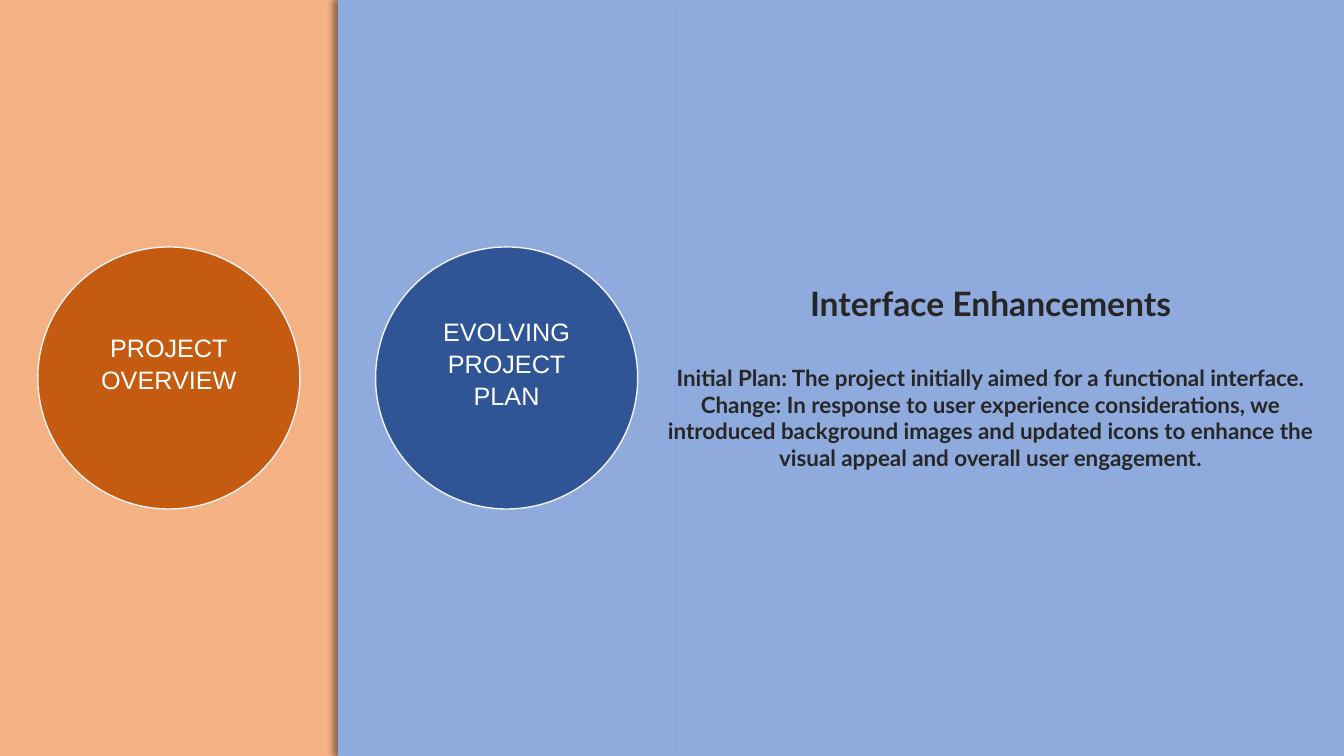
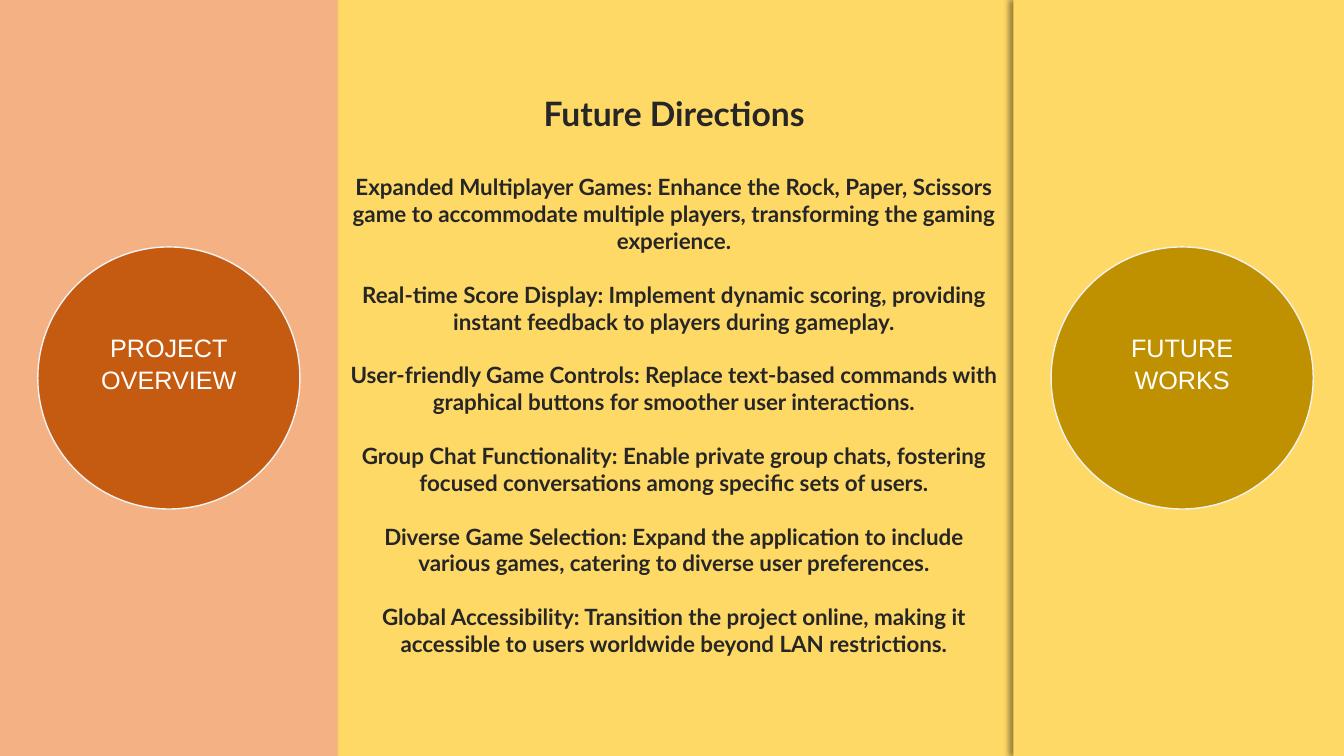
from dataclasses import dataclass

from lxml import etree
from pptx import Presentation
from pptx import util as u
from pptx.dml.color import RGBColor
from pptx.enum import shapes, text
from pptx.oxml.ns import qn


@dataclass(frozen=True)
class Theme:
    ink: str = "262626"
    label: str = "FFFFFF"
    ring: str = "F2F2F2"
    shadow: str = "000000"
    heading_font: str = "Lato"
    label_font: str = "Arial"
    heading_size: int = 24
    body_size: int = 16
    label_size: int = 18


THEME = Theme()
WIDTH, HEIGHT = 13.33, 7.5
COLUMN = 3.35
CIRCLE = 2.6
HEADING_DROP = 0.8  # from the heading's top to the body's top

# Each panel: column, band colour, circle colour, label lines
OVERVIEW = (0, "F4B183", "C55A11", ("PROJECT", "OVERVIEW"))
PLAN = (1, "8FAADC", "2F5597", ("EVOLVING", "PROJECT", "PLAN"))
FUTURE = (3, "FFD966", "BF9000", ("FUTURE", "WORKS"))

SLIDES = [
    {
        "background": "8FAADC",
        "panels": (OVERVIEW, PLAN),
        "area": (6.32, 2.76, 7.01, 1.99),
        "gap": 0,
        "heading": "Interface Enhancements",
        "body": (
            "Initial Plan: The project initially aimed for a functional interface.",
            "Change: In response to user experience considerations, we introduced "
            "background images and updated icons to enhance the visual appeal and "
            "overall user engagement.",
        ),
    },
    {
        "background": "FFD966",
        "panels": (FUTURE, OVERVIEW),
        "area": (3.34, 0.87, 6.69, 5.76),
        "gap": 19.2,
        "heading": "Future Directions",
        "body": (
            "Expanded Multiplayer Games: Enhance the Rock, Paper, Scissors game to "
            "accommodate multiple players, transforming the gaming experience.",
            "Real-time Score Display: Implement dynamic scoring, providing instant "
            "feedback to players during gameplay.",
            "User-friendly Game Controls: Replace text-based commands with graphical "
            "buttons for smoother user interactions.",
            "Group Chat Functionality: Enable private group chats, fostering focused "
            "conversations among specific sets of users.",
            "Diverse Game Selection: Expand the application to include various games, "
            "catering to diverse user preferences.",
            "Global Accessibility: Transition the project online, making it accessible "
            "to users worldwide beyond LAN restrictions.",
        ),
    },
]


def paint(fill, colour):
    fill.solid()
    fill.fore_color.rgb = RGBColor.from_string(colour)


def write(frame, lines, font, size, colour, bold=False, gap=0, spacing=1.0):
    """Fill a text frame with centred, unbulleted paragraphs."""
    frame.word_wrap = True
    frame.auto_size = text.MSO_AUTO_SIZE.NONE
    for index, line in enumerate(lines):
        para = frame.add_paragraph() if index else frame.paragraphs[0]
        para.alignment = text.PP_ALIGN.CENTER
        para.line_spacing = spacing
        para.space_before = u.Pt(gap if index else 0)
        para.space_after = u.Pt(0)
        properties = para._p.get_or_add_pPr()
        properties.set("marL", "0")
        properties.set("indent", "0")
        etree.SubElement(properties, qn("a:buNone"))
        span = para.add_run()
        span.text = line
        span.font.name, span.font.size, span.font.bold = font, u.Pt(size), bold
        span.font.color.rgb = RGBColor.from_string(colour)


def add_figure(page, kind, left, top, width, height, colour):
    figure = page.shapes.add_shape(kind, *map(u.Inches, (left, top, width, height)))
    figure.shadow.inherit = False
    paint(figure.fill, colour)
    return figure


def cast_left_shadow(figure):
    effects = figure.element.spPr.find(qn("a:effectLst"))
    shadow = etree.SubElement(
        effects, qn("a:outerShdw"), blurRad=str(u.Pt(4)), dist=str(u.Pt(3)),
        dir=str(180 * 60000), algn="r", rotWithShape="0")
    colour = etree.SubElement(shadow, qn("a:srgbClr"), val=THEME.shadow)
    etree.SubElement(colour, qn("a:alpha"), val="40000")


def add_panel(page, column, band_colour, circle_colour, label):
    left = column * COLUMN
    band = add_figure(page, shapes.MSO_SHAPE.RECTANGLE, left, 0, COLUMN, HEIGHT, band_colour)
    band.line.fill.background()
    cast_left_shadow(band)

    circle = add_figure(page, shapes.MSO_SHAPE.OVAL, left + (COLUMN - CIRCLE) / 2,
                        (HEIGHT - CIRCLE) / 2, CIRCLE, CIRCLE, circle_colour)
    paint(circle.line.fill, THEME.ring)
    circle.line.width = u.Pt(1)
    frame = circle.text_frame
    frame.vertical_anchor = text.MSO_ANCHOR.MIDDLE
    frame.margin_bottom = u.Inches(0.35)  # lifts the label above the centre
    write(frame, label, THEME.label_font, THEME.label_size, THEME.label, spacing=1.05)


def place_text(holder, left, top, width, height, lines, size, gap=0):
    """Position a placeholder in front of the panels and fill it."""
    holder.left, holder.top, holder.width, holder.height = map(
        u.Inches, (left, top, width, height))
    holder.element.getparent().append(holder.element)
    holder.text_frame.vertical_anchor = text.MSO_ANCHOR.TOP
    write(holder.text_frame, lines, THEME.heading_font, size, THEME.ink, True, gap)


def build_slide(deck, content):
    page = deck.slides.add_slide(deck.slide_layouts[1])
    paint(page.background.fill, content["background"])
    for panel in content["panels"]:
        add_panel(page, *panel)
    left, top, width, height = content["area"]
    place_text(page.shapes.title, left, top, width, HEADING_DROP,
               [content["heading"]], THEME.heading_size)
    place_text(page.placeholders[1], left, top + HEADING_DROP, width,
               height - HEADING_DROP, content["body"], THEME.body_size, content["gap"])


def main():
    deck = Presentation()
    deck.slide_width, deck.slide_height = u.Inches(WIDTH), u.Inches(HEIGHT)
    for content in SLIDES:
        build_slide(deck, content)
    deck.save("out.pptx")


if __name__ == "__main__":
    main()
